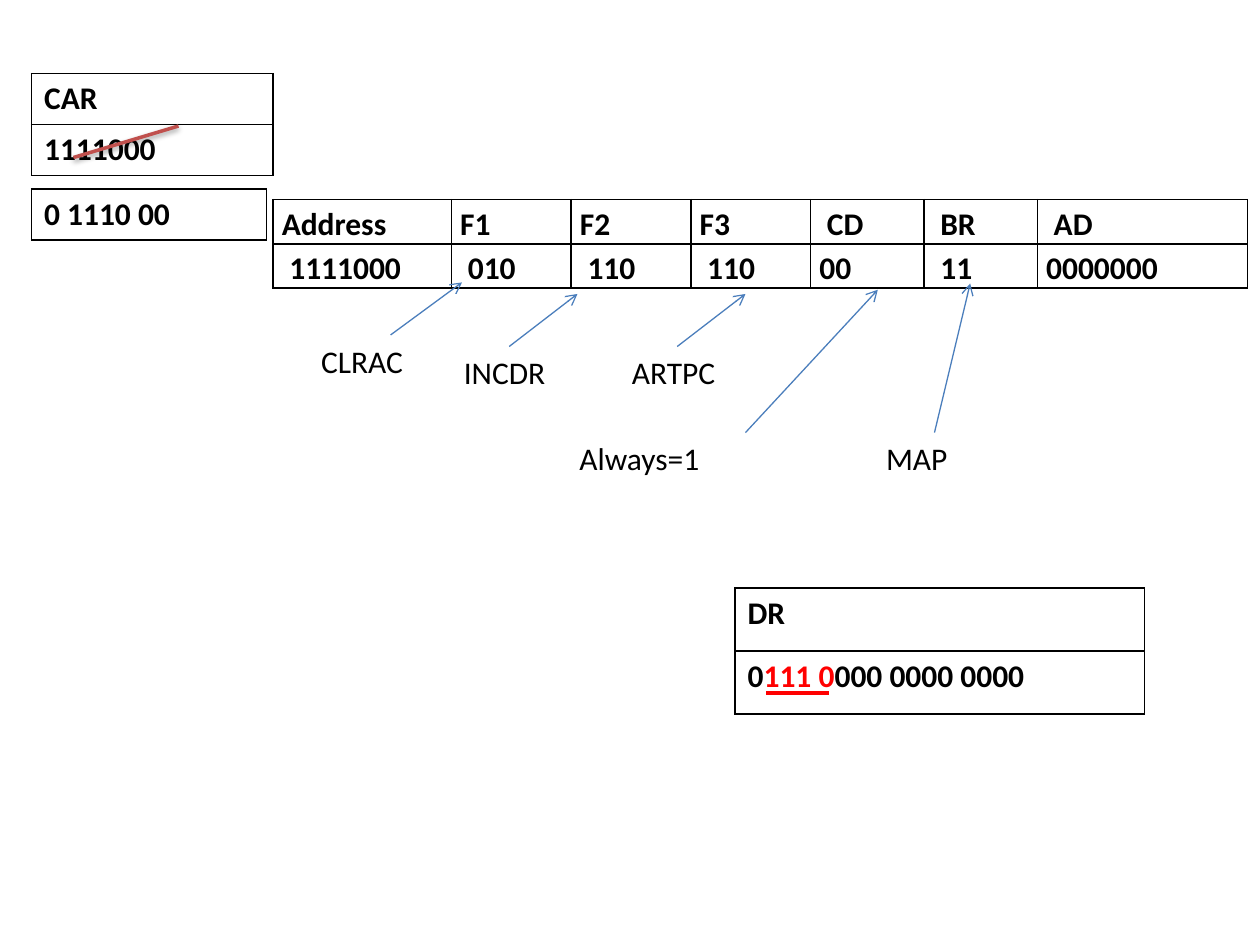
"""Build the slide that maps a microinstruction's fields to its operations."""
import pptx
import pptx.dml.color
import pptx.enum.shapes
import pptx.oxml
import pptx.oxml.ns
import pptx.util

BLACK = pptx.dml.color.RGBColor(0x00, 0x00, 0x00)
RED = pptx.dml.color.RGBColor(0xFF, 0x00, 0x00)
BLUE = pptx.dml.color.RGBColor(0x4B, 0x7E, 0xBC)
BRICK = pptx.dml.color.RGBColor(0xC0, 0x50, 0x4D)
NS = pptx.oxml.ns.nsdecls("a")

deck = pptx.Presentation()
deck.slide_width = pptx.util.Inches(10)
deck.slide_height = pptx.util.Inches(7.5)
slide = deck.slides.add_slide(deck.slide_layouts[6])
GRID = deck.slide_width // 120


def write(frame, text, color=BLACK, bold=False, spacing=None):
    paragraph = frame.paragraphs[0]
    paragraph.line_spacing = spacing
    run = paragraph.add_run()
    run.text = text
    run.font.name = "Calibri"
    run.font.size = pptx.util.Pt(18)
    run.font.bold = bold
    run.font.color.rgb = color


def draw_line(ends, color, width, effect=""):
    line = slide.shapes.add_connector(
        pptx.enum.shapes.MSO_CONNECTOR.STRAIGHT, *[round(end * GRID) for end in ends])
    line.line.color.rgb = color
    line.line.width = pptx.util.Pt(width)
    line._element.spPr.append(
        pptx.oxml.parse_xml(f"<a:effectLst {NS}>{effect}</a:effectLst>"))
    return line


microinstruction = [
    ["Address", "F1", "F2", "F3", "CD", "BR", "AD"],
    ["1111000", "010", "110", "110", "00", "11", "0000000"],
]
indented = {(0, 4), (0, 5), (0, 6), (1, 0), (1, 1), (1, 2), (1, 3), (1, 5)}
dr_value = [("0", BLACK), ("111 0", RED), ("000 0000 0000", BLACK)]
registers = [
    (26, 19, [17, 11.4, 11.4, 11.4, 10.8, 10.8, 20], 4.2, microinstruction),
    (3, 7, [23], 4.86, [["CAR"], ["1111000"]]),
    (3, 18, [22.4], 4.86, [["0 1110 00"]]),
    (70, 56, [39], 6, [["DR"], [dr_value]]),
]
for left, top, widths, row_height, rows in registers:
    register = slide.shapes.add_table(
        len(rows), len(widths), round(left * GRID), round(top * GRID),
        round(sum(widths) * GRID), round(row_height * len(rows) * GRID)).table
    register.first_row = register.horz_banding = False
    for column, width in zip(register.columns, widths):
        column.width = round(width * GRID)
    for r, values in enumerate(rows):
        register.rows[r].height = round(row_height * GRID)
        for c, value in enumerate(values):
            field = register.cell(r, c)
            is_field = rows is microinstruction
            if is_field:
                field.margin_left = pptx.util.Inches(0.13 if (r, c) in indented else 0.07)
                field.margin_right = pptx.util.Inches(0.07)
                field.margin_top = field.margin_bottom = 0
            for side in "LRTB":
                field._tc.get_or_add_tcPr().append(pptx.oxml.parse_xml(
                    f'<a:ln{side} {NS} w="12700"><a:solidFill><a:srgbClr val="{BLACK}"/>'
                    f"</a:solidFill></a:ln{side}>"))
            field.fill.background()
            for text, color in [(value, BLACK)] if isinstance(value, str) else value:
                write(field.text_frame, text, color=color, bold=True,
                      spacing=1.15 if is_field else None)

operations = [
    ("CLRAC", 29.4, 32, 11.6, (37.2, 31.9, 44, 26.9)),
    ("INCDR", 43, 33, 11, (48.5, 33, 55, 28)),
    ("ARTPC", 59, 33, 11, (64.5, 33, 71, 28)),
    ("Always=1", 54, 41.2, 18.8, (71, 41.2, 83.6, 27.6)),
    ("MAP", 83.2, 41.2, 11.6, (89, 41.2, 92.4, 27)),
]
for operation, left, top, width, ends in operations:
    label = slide.shapes.add_textbox(
        *[round(length * GRID) for length in (left, top, width, 5)])
    label.text_frame.word_wrap = True
    write(label.text_frame, operation)
    arrow = draw_line(ends, BLUE, 0.75)
    arrow.line._get_or_add_ln().append(
        pptx.oxml.parse_xml(f'<a:tailEnd {NS} type="arrow"/>'))

draw_line((17, 12, 7, 15), BRICK, 2,
          '<a:outerShdw blurRad="40000" dist="20000" dir="5400000" rotWithShape="0">'
          f'<a:srgbClr val="{BLACK}"><a:alpha val="38000"/></a:srgbClr></a:outerShdw>')
draw_line((73, 66, 79, 66), RED, 2.5)

deck.save("out.pptx")
